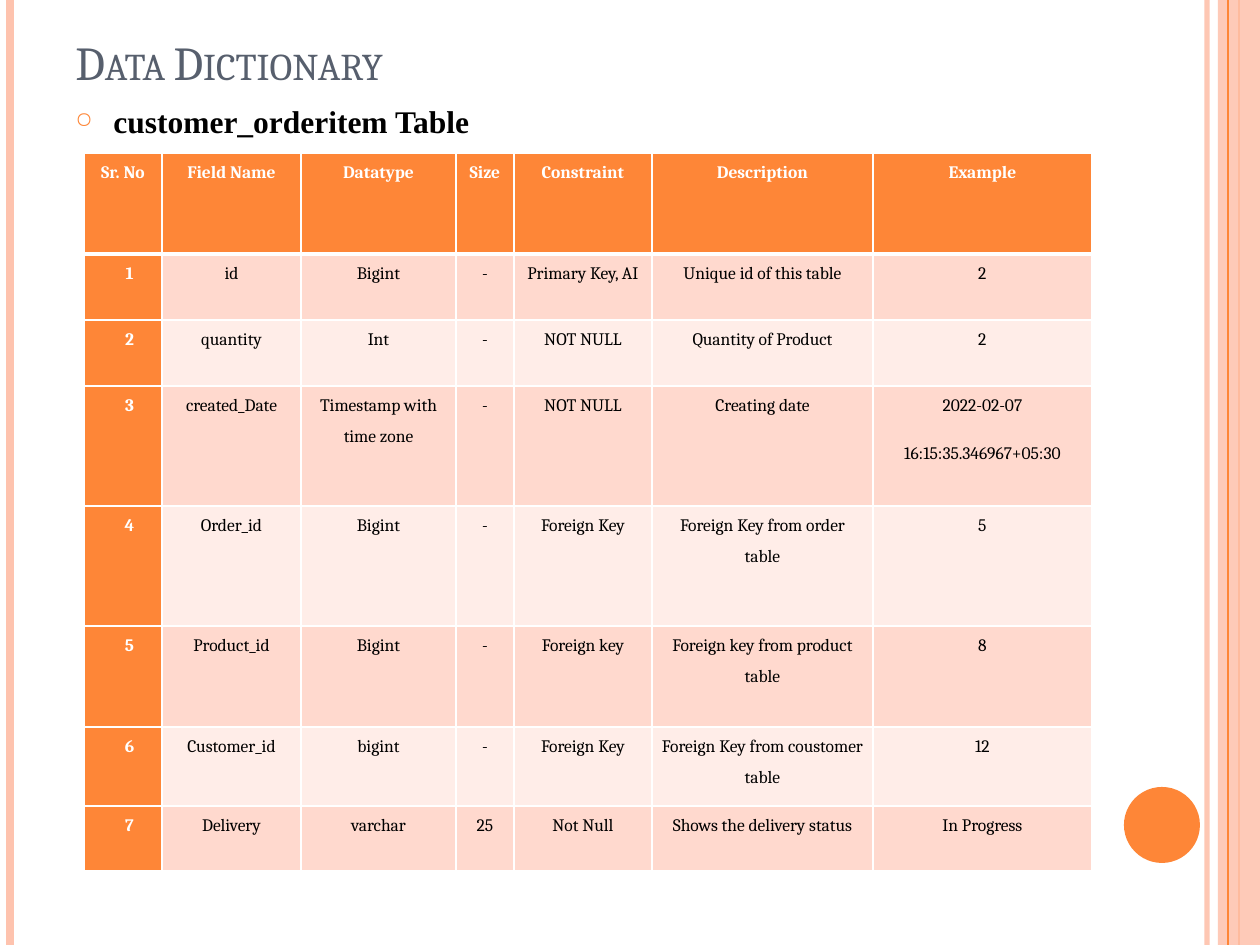
from lxml.etree import SubElement
from pptx import Presentation
from pptx.dml.color import RGBColor
from pptx.enum.shapes import MSO_CONNECTOR as CONN, MSO_SHAPE as SHAPE
from pptx.enum.text import MSO_ANCHOR as ANCHOR, PP_ALIGN as ALIGN
from pptx.oxml import parse_xml
from pptx.oxml.ns import nsdecls, qn
from pptx.util import Emu, Pt


class Theme:
    orange, peach = "FE8637", "FEC3AE"
    band_dark, band_light = "FFD9CE", "FFEDE8"
    slate, black, white = "575F6D", "000000", "FFFFFF"
    serif, times = "Cambria", "Times New Roman"
    title, heading, cell = 27, 18, 10


W, H = 1260, 945


def px(n):
    return Emu(round(n * 914400 / 126))


def style(p, size, name, color, bold=False):
    for r in p.runs:
        r.font.size, r.font.name, r.font.bold = Pt(size), name, bold
        r.font.color.rgb = RGBColor.from_string(color)


prs = Presentation()
prs.slide_width, prs.slide_height = px(W), px(H)
s = prs.slides.add_slide(prs.slide_layouts[6])

# Side rails: x, colour, width in points, opacity in percent; None is the wide band
rails = [
    (1207, Theme.peach, 3, 93),
    (10, Theme.peach, 4.5, 100),
    (1239, Theme.orange, 1.5, 100),
    (1218, Theme.peach, None, 87),
    (1228, Theme.orange, 0.75, 100),
]
for x, color, width, opacity in rails:
    if width is None:
        sp = s.shapes.add_shape(SHAPE.RECTANGLE, px(x), 0, px(W - x), px(H))
        sp.shadow.inherit = False
        sp.line.fill.background()
        fill = sp.fill
    else:
        sp = s.shapes.add_connector(CONN.STRAIGHT, px(x), 0, px(x), px(H))
        sp.line.width = Pt(width)
        fill = sp.line.fill
    fill.solid()
    fill.fore_color.rgb = RGBColor.from_string(color)
    if width is not None:
        SubElement(sp._element.spPr, qn("a:effectLst"))
    if opacity < 100:
        clr = next(sp._element.spPr.iter(qn("a:srgbClr")))
        SubElement(clr, qn("a:alpha")).set("val", str(opacity * 1000))

dot = s.shapes.add_shape(SHAPE.OVAL, px(1124), px(787), px(76), px(76))
dot.shadow.inherit = False
dot.fill.solid()
dot.fill.fore_color.rgb = RGBColor.from_string(Theme.orange)
dot.line.fill.background()

# Title and bulleted heading
title = s.shapes.add_textbox(px(63), px(38), px(1029), px(58))
tf = title.text_frame
tf.word_wrap, tf.vertical_anchor = True, ANCHOR.BOTTOM
tf.text = "Data Dictionary"
p = tf.paragraphs[0]
style(p, Theme.title, Theme.serif, Theme.slate)
p.runs[0].font._element.set("cap", "small")

heading = s.shapes.add_textbox(px(63), px(96), px(1029), px(796))
tf = heading.text_frame
tf.word_wrap = True
tf.text = "customer_orderitem Table"
p = tf.paragraphs[0]
pPr = p._p.get_or_add_pPr()
pPr.set("marL", str(px(38)))
pPr.set("indent", str(px(-38)))
clr = SubElement(SubElement(pPr, qn("a:buClr")), qn("a:srgbClr"))
clr.set("val", Theme.orange)
SubElement(pPr, qn("a:buSzPct")).set("val", "70000")
SubElement(pPr, qn("a:buChar")).set("char", "○")
style(p, Theme.heading, Theme.times, Theme.black, True)

# Data dictionary table
rows = [
    ("Sr. No", "Field Name", "Datatype", "Size", "Constraint", "Description", "Example"),
    ("1", "id", "Bigint", "-", "Primary Key, AI", "Unique id of this table", "2"),
    ("2", "quantity", "Int", "-", "NOT NULL", "Quantity of Product", "2"),
    ("3", "created_Date", "Timestamp with time zone", "-", "NOT NULL", "Creating date",
     "2022-02-07\n16:15:35.346967+05:30"),
    ("4", "Order_id", "Bigint", "-", "Foreign Key", "Foreign Key from order table", "5"),
    ("5", "Product_id", "Bigint", "-", "Foreign key", "Foreign key from product table", "8"),
    ("6", "Customer_id", "bigint", "-", "Foreign Key", "Foreign Key from coustomer table", "12"),
    ("7", "Delivery", "varchar", "25", "Not Null", "Shows the delivery status", "In Progress"),
]
col_widths = [78, 139, 155, 58, 138, 221, 219]
row_heights = [101, 66, 66, 120, 120, 101, 79, 65]
frame = s.shapes.add_table(len(rows), len(col_widths), px(84), px(153),
                           px(sum(col_widths)), px(sum(row_heights)))
table = frame.table
for column, width in zip(table.columns, col_widths):
    column.width = px(width)
for row, height in zip(table.rows, row_heights):
    row.height = px(height)

for i, texts in enumerate(rows):
    for j, text in enumerate(texts):
        cell = table.cell(i, j)
        is_header = i == 0 or j == 0
        band = Theme.band_dark if i % 2 else Theme.band_light
        cell.margin_left = cell.margin_right = px(9)
        cell.margin_top = cell.margin_bottom = 0
        cell.fill.solid()
        cell.fill.fore_color.rgb = RGBColor.from_string(Theme.orange if is_header else band)
        cell.text_frame.text = text
        for p in cell.text_frame.paragraphs:
            p.alignment, p.line_spacing, p.space_after = ALIGN.CENTER, 1.5, Pt(10)
            if i and j == 0:
                p._p.get_or_add_pPr().set("marL", str(px(13)))
            style(p, Theme.cell, Theme.serif,
                  Theme.white if is_header else Theme.black, is_header)
        # Borders come before the fill; the rule under the header row is thicker
        tcPr = cell._tc.get_or_add_tcPr()
        for k, side in enumerate("LRTB"):
            thick = (i, side) in ((0, "B"), (1, "T"))
            tcPr.insert(k, parse_xml(
                f'<a:ln{side} {nsdecls("a")} w="{Pt(3 if thick else 1)}"><a:solidFill>'
                f'<a:srgbClr val="{Theme.white}"/></a:solidFill></a:ln{side}>'))

prs.save("out.pptx")
